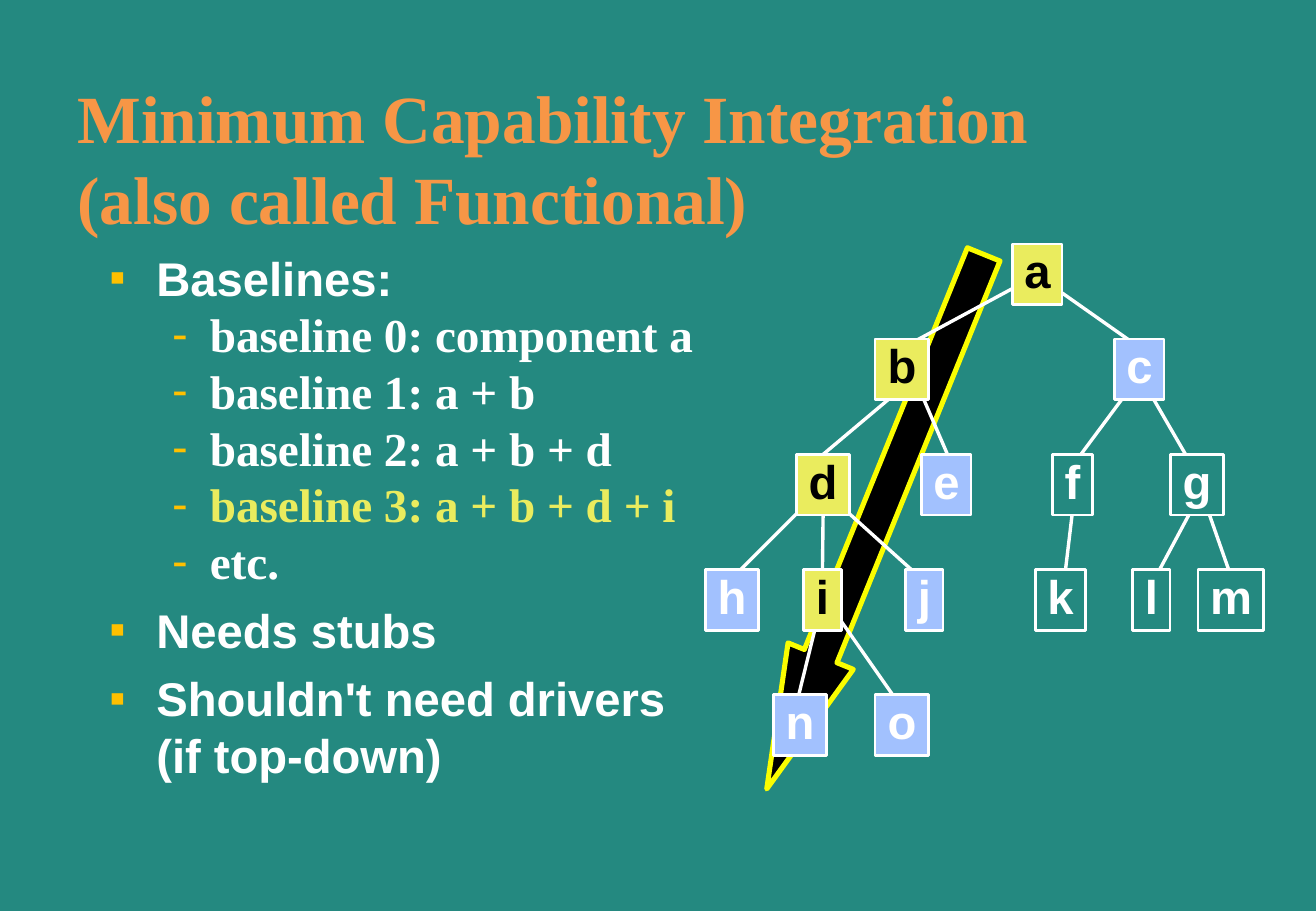
from lxml import etree
from pptx import Presentation
from pptx import util as u
from pptx.dml.color import RGBColor
from pptx.enum import shapes, text
from pptx.oxml.ns import qn

TEAL, ORANGE, WHITE, BLACK = "248980", "F79646", "FFFFFF", "000000"
YELLOW, BLUE, AMBER, LEMON = "EAEC5E", "A2C1FE", "FFC000", "FAFD00"
SANS, SERIF = "Arial", "Times New Roman"


def colour(hex_value):
    return RGBColor.from_string(hex_value)


def grid(count):
    """Length of a number of grid columns or rows, ten to the inch."""
    return u.Inches(count / 10)


class TreeSlide:
    def __init__(self, deck):
        self.slide = deck.slides.add_slide(deck.slide_layouts[6])
        self.slide.background.fill.solid()
        self.slide.background.fill.fore_color.rgb = colour(TEAL)

    def style_runs(self, paragraph, face, size, ink):
        for run in paragraph.runs:
            run.font.name, run.font.size, run.font.bold = face, u.Pt(size), True
            run.font.color.rgb = colour(ink)

    def text_area(self, left, top, width, height):
        frame = self.slide.shapes.add_textbox(*map(grid, (left, top, width, height))).text_frame
        frame.word_wrap = True
        return frame

    def title(self, wording, *place):
        heading = self.text_area(*place).paragraphs[0]
        heading.text = wording
        self.style_runs(heading, SERIF, 40, ORANGE)

    def bullet(self, paragraph, mark, margin, hanging, percent):
        props = paragraph._p.get_or_add_pPr()
        props.set("marL", str(grid(margin)))
        props.set("indent", str(-grid(hanging)))
        tint = etree.SubElement(props, qn("a:buClr"))
        etree.SubElement(tint, qn("a:srgbClr"), val=AMBER)
        etree.SubElement(props, qn("a:buSzPct"), val=str(percent * 1000))
        etree.SubElement(props, qn("a:buFont"), typeface=SANS)
        etree.SubElement(props, qn("a:buChar"), char=mark)

    def outline(self, entries, *place):
        """Bulleted list of (level, wording, ink) entries."""
        frame = self.text_area(*place)
        for index, (level, wording, ink) in enumerate(entries):
            entry = frame.add_paragraph() if index else frame.paragraphs[0]
            entry.text = wording
            entry.level = level
            if level:
                self.bullet(entry, "-", 8.2, 3.1, 100)
            else:
                self.bullet(entry, "■", 3.8, 3.8, 50)
            if index:
                entry.space_before = u.Pt(0 if level else 7)
            self.style_runs(entry, SERIF if level else SANS, 28, ink)

    def block(self, kind, place, fill, edge, weight):
        body = self.slide.shapes.add_shape(kind, *map(grid, place))
        body.shadow.inherit = False
        body.fill.solid()
        body.fill.fore_color.rgb = colour(fill)
        body.line.color.rgb = colour(edge)
        body.line.width = u.Pt(weight)
        return body

    def path_arrow(self, place, angle):
        arrow = self.block(shapes.MSO_SHAPE.DOWN_ARROW, place, BLACK, LEMON, 3)
        arrow.adjustments[0], arrow.adjustments[1] = 0.5, 2.035
        arrow.rotation = angle

    def component(self, letter, left, top, width, fill, ink):
        node = self.block(shapes.MSO_SHAPE.RECTANGLE, (left, top, width, 5), fill, WHITE, 1.5)
        frame = node.text_frame
        frame.text = letter
        frame.word_wrap = False
        frame.auto_size = text.MSO_AUTO_SIZE.SHAPE_TO_FIT_TEXT
        frame.vertical_anchor = text.MSO_ANCHOR.MIDDLE
        label = frame.paragraphs[0]
        label.alignment = text.PP_ALIGN.CENTER
        label.line_spacing = 0.85
        self.style_runs(label, SANS, 28, ink)
        return node

    def link(self, *ends):
        branch = self.slide.shapes.add_connector(shapes.MSO_CONNECTOR.STRAIGHT, *map(grid, ends))
        branch.line.color.rgb = colour(WHITE)
        branch.line.width = u.Pt(2)
        etree.SubElement(branch._element.spPr, qn("a:effectLst"))
        return branch


OUTLINE = [
    (0, "Baselines:", WHITE),
    (1, "baseline 0: component a", WHITE),
    (1, "baseline 1: a + b", WHITE),
    (1, "baseline 2: a + b + d", WHITE),
    (1, "baseline 3: a + b + d + i", YELLOW),
    (1, "etc.", WHITE),
    (0, "Needs stubs", WHITE),
    (0, "Shouldn't need drivers\n(if top-down)", WHITE),
]

# Each tree level: its top row, then the left column of every component
LEVELS = [
    (20.1, {"a": 83.4}),
    (27.9, {"b": 72.1, "c": 91.8}),
    (37.4, {"d": 65.6, "e": 75.9, "f": 86.7, "g": 96.4}),
    (46.9, {"h": 58.1, "i": 66.2, "j": 74.6, "k": 85.3, "l": 93.3, "m": 98.7}),
    (57.2, {"n": 63.7, "o": 72.1}),
]
WIDTHS = {**dict.fromkeys("ijl", 3.1), **dict.fromkeys("acek", 4.1), "f": 3.3, "m": 5.4}
STATES = {**dict.fromkeys("abdi", (YELLOW, BLACK)), **dict.fromkeys("fgklm", (TEAL, WHITE))}

LINKS = [
    (84.8, 23, 74.6, 28.5),    # a-b
    (85.9, 23, 94, 28.7),      # a-c
    (74, 32.2, 67.1, 38),      # b-d
    (75.8, 32.2, 78.3, 38),    # b-e
    (94.1, 30.6, 88.6, 38),    # c-f
    (94, 31.1, 98, 38),        # c-g
    (67.6, 40.3, 59.9, 48),    # d-h
    (69.3, 41.7, 76.3, 48),    # d-j
    (88.5, 40.8, 87.7, 47.5),  # f-k
    (98.3, 41.7, 95.2, 47.5),  # g-l
    (99, 40.6, 101.7, 48.3),   # g-m
    (67.7, 49.5, 65.6, 58),    # i-n
    (68, 49.3, 74.3, 58.3),    # i-o
]


def main():
    deck = Presentation()
    deck.slide_width, deck.slide_height = u.Inches(10.84), u.Inches(7.5)
    page = TreeSlide(deck)
    page.title("Minimum Capability Integration\n(also called Functional)", 5.4, 5.8, 92.1, 6.7)
    page.outline(OUTLINE, 8.1, 20, 92.1, 46.7)
    page.path_arrow((69.2, 19.2, 5.8, 47.5), 22.1)
    for ends in LINKS:
        page.link(*ends)
    nodes = {}
    for top, row in LEVELS:
        for letter, left in row.items():
            fill, ink = STATES.get(letter, (BLUE, WHITE))
            nodes[letter] = page.component(letter, left, top, WIDTHS.get(letter, 4.4), fill, ink)
    stem = page.link(67.8, 42.4, 67.8, 46.9)
    stem.begin_connect(nodes["d"], 2)
    stem.end_connect(nodes["i"], 0)
    deck.save("out.pptx")


if __name__ == "__main__":
    main()
